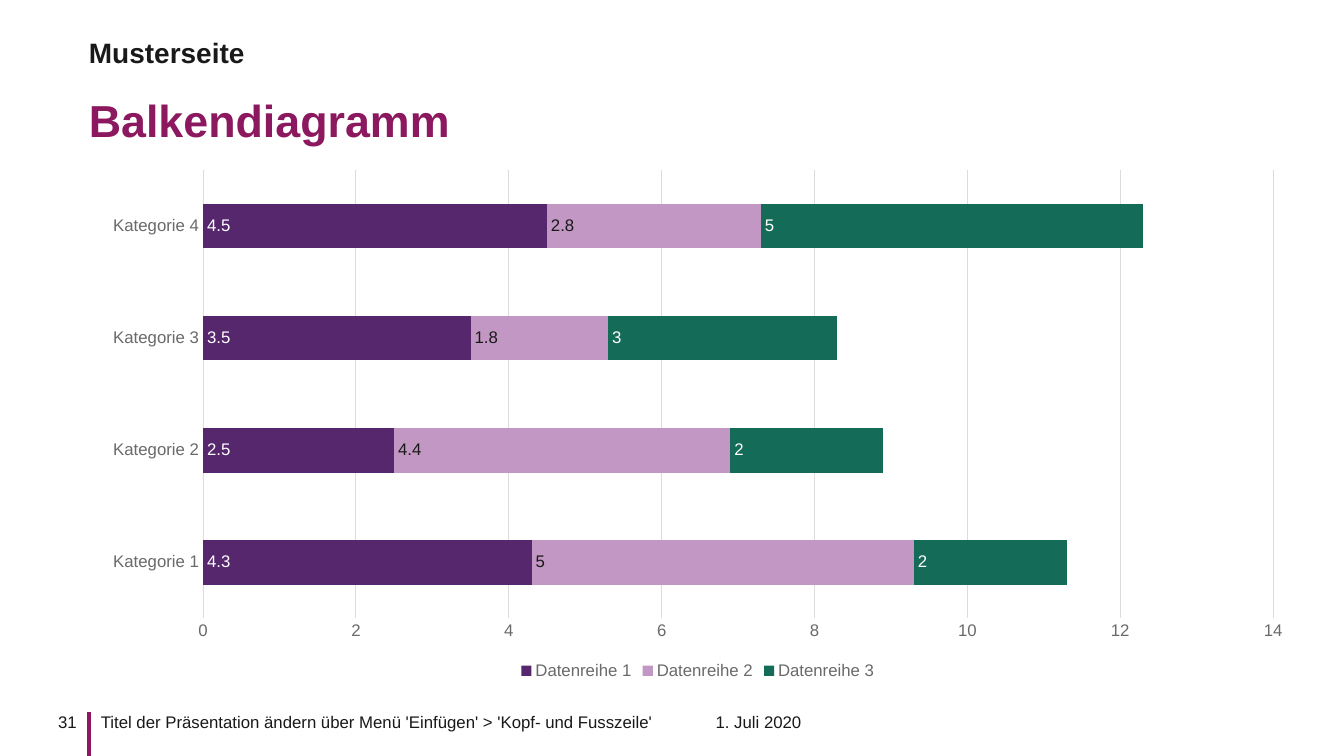
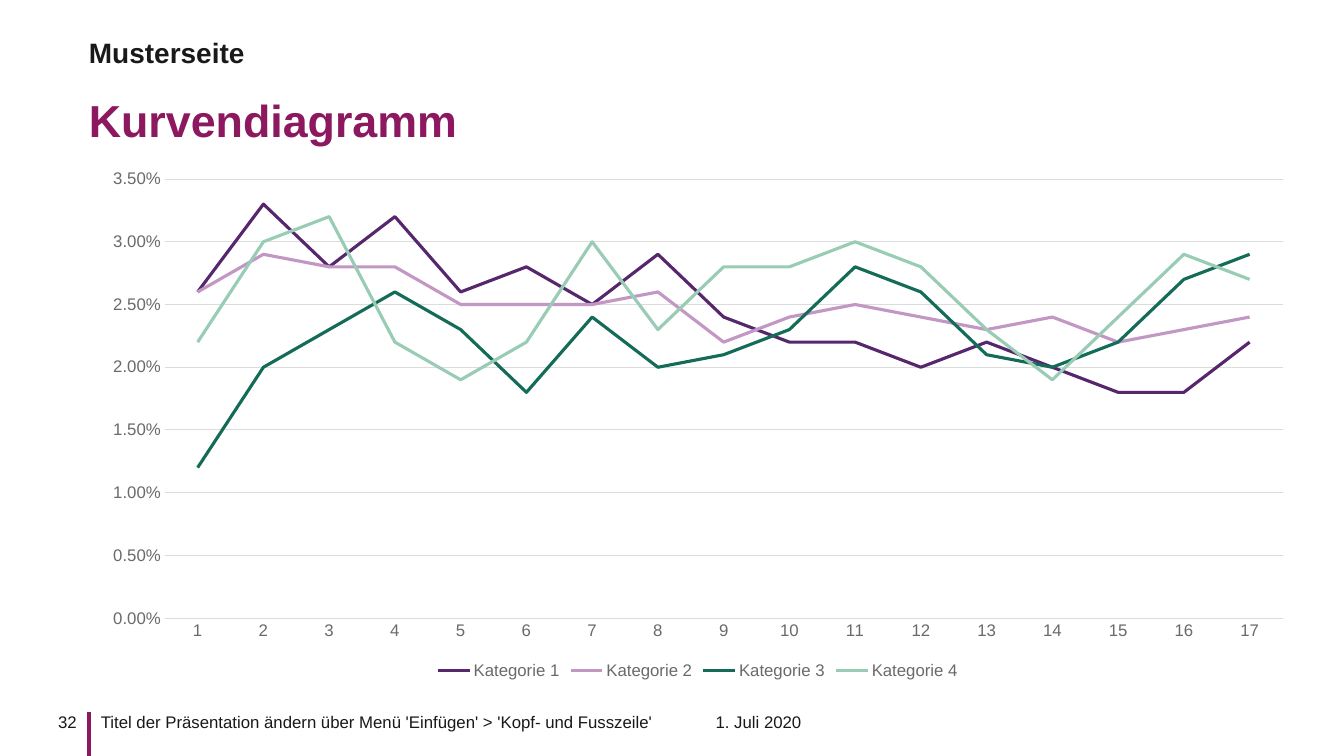
import pptx
import pptx.chart.data
import pptx.dml.color
import pptx.enum.chart
import pptx.enum.shapes
import pptx.enum.text
import pptx.oxml.ns
import pptx.util
from lxml import etree

Pt = pptx.util.Pt
RGBColor = pptx.dml.color.RGBColor
ALIGN = pptx.enum.text.PP_ALIGN
ANCHOR = pptx.enum.text.MSO_ANCHOR
CHART = pptx.enum.chart.XL_CHART_TYPE

BERRY = RGBColor(0x8C, 0x19, 0x5F)
INK = RGBColor(0x19, 0x19, 0x19)
GREY = RGBColor(0x6A, 0x6A, 0x6A)
GRID = RGBColor(0xDC, 0xDC, 0xDC)
WHITE = RGBColor(0xFF, 0xFF, 0xFF)
PURPLE = RGBColor(0x56, 0x27, 0x6D)
LILAC = RGBColor(0xC3, 0x97, 0xC4)
GREEN = RGBColor(0x14, 0x6C, 0x58)
MINT = RGBColor(0x99, 0xCC, 0xB5)
SERIES_COLORS = (PURPLE, LILAC, GREEN, MINT)
LABEL_COLORS = (WHITE, INK, WHITE)

FONT = "Arial"
SLIDE_WIDTH, SLIDE_HEIGHT = 960.5, 540
LEFT, CONTENT_WIDTH = 63.5, 870.5
FOOTER_TOP = 508.3
FOOTER_GAP = 8.6
FOOTER = "Titel der Präsentation ändern über Menü 'Einfügen' > 'Kopf- und Fusszeile'"
DATE = "1. Juli 2020"
KICKER = "Musterseite"

BAR_CATEGORIES = [f"Kategorie {n}" for n in range(1, 5)]
BAR_SERIES = {
    "Datenreihe 1": (4.3, 2.5, 3.5, 4.5),
    "Datenreihe 2": (5, 4.4, 1.8, 2.8),
    "Datenreihe 3": (2, 2, 3, 5),
}
LINE_CATEGORIES = [str(n) for n in range(1, 18)]
LINE_SERIES = {
    "Kategorie 1": (0.026, 0.033, 0.028, 0.032, 0.026, 0.028, 0.025, 0.029, 0.024,
                    0.022, 0.022, 0.02, 0.022, 0.02, 0.018, 0.018, 0.022),
    "Kategorie 2": (0.026, 0.029, 0.028, 0.028, 0.025, 0.025, 0.025, 0.026, 0.022,
                    0.024, 0.025, 0.024, 0.023, 0.024, 0.022, 0.023, 0.024),
    "Kategorie 3": (0.012, 0.02, 0.023, 0.026, 0.023, 0.018, 0.024, 0.02, 0.021,
                    0.023, 0.028, 0.026, 0.021, 0.02, 0.022, 0.027, 0.029),
    "Kategorie 4": (0.022, 0.03, 0.032, 0.022, 0.019, 0.022, 0.03, 0.023, 0.028,
                    0.028, 0.03, 0.028, 0.023, 0.019, 0.024, 0.029, 0.027),
}


def style_font(font, size, color, bold=False):
    font.name = FONT
    font.size = Pt(size)
    font.bold = bold
    font.color.rgb = color


def place(shape, left, top, width, height):
    shape.left, shape.top = Pt(left), Pt(top)
    shape.width, shape.height = Pt(width), Pt(height)


def write(shape, text, size, color, bold=False, align=ALIGN.LEFT,
          anchor=ANCHOR.TOP, inset_left=0, inset_right=0):
    """Fill a shape with one formatted run and return its paragraph."""
    frame = shape.text_frame
    frame.word_wrap = True
    frame.auto_size = pptx.enum.text.MSO_AUTO_SIZE.NONE
    frame.vertical_anchor = anchor
    frame.margin_top = frame.margin_bottom = 0
    frame.margin_left, frame.margin_right = Pt(inset_left), Pt(inset_right)
    paragraph = frame.paragraphs[0]
    paragraph.alignment = align
    run = paragraph.add_run()
    run.text = text
    style_font(run.font, size, color, bold)
    return paragraph


def remove_bullet(paragraph):
    properties = paragraph._p.get_or_add_pPr()
    properties.set("marL", "0")
    properties.set("indent", "0")
    etree.SubElement(properties, pptx.oxml.ns.qn("a:buNone"))


def add_heading(slide, title):
    place(slide.shapes.title, LEFT, 54.7, CONTENT_WIDTH, 54)
    heading = write(slide.shapes.title, title, 32, BERRY, True, anchor=ANCHOR.MIDDLE)
    heading.line_spacing = 1.2
    kicker = slide.placeholders[1]
    place(kicker, LEFT, 26, CONTENT_WIDTH, 22.3)
    line = write(kicker, KICKER, 20, INK, True, anchor=ANCHOR.MIDDLE)
    remove_bullet(line)
    line.space_before = Pt(0)


def add_footer_text(slide, text, left, width, height, **layout):
    box = slide.shapes.add_textbox(Pt(left), Pt(FOOTER_TOP), Pt(width), Pt(height))
    write(box, text, 12, INK, **layout)


def add_footer(slide, number):
    rule = slide.shapes.add_connector(
        pptx.enum.shapes.MSO_CONNECTOR.STRAIGHT,
        Pt(LEFT), Pt(FOOTER_TOP), Pt(LEFT), Pt(SLIDE_HEIGHT))
    rule.line.color.rgb = BERRY
    rule.line.width = Pt(3)
    etree.SubElement(rule._element.spPr, pptx.oxml.ns.qn("a:effectLst"))
    add_footer_text(slide, DATE, 511.4, 265.7, 14.4)
    add_footer_text(slide, FOOTER, LEFT, 422.6, 25.9, inset_left=FOOTER_GAP)
    add_footer_text(slide, str(number), 21, LEFT - 21, 14.4,
                    align=ALIGN.RIGHT, inset_right=FOOTER_GAP)


def style_grid_line(line):
    line.color.rgb = GRID
    line.width = Pt(0.75)


def style_axes(chart, maximum, step, number_format):
    for axis in (chart.category_axis, chart.value_axis):
        axis.major_tick_mark = axis.minor_tick_mark = pptx.enum.chart.XL_TICK_MARK.NONE
        style_font(axis.tick_labels.font, 12, GREY)
    style_grid_line(chart.category_axis.format.line)
    values = chart.value_axis
    values.minimum_scale, values.maximum_scale, values.major_unit = 0, maximum, step
    values.format.line.fill.background()
    values.has_major_gridlines = True
    style_grid_line(values.major_gridlines.format.line)
    values.tick_labels.number_format = number_format
    values.tick_labels.number_format_is_linked = False


def add_chart(slide, kind, categories, series, maximum, step, number_format):
    data = pptx.chart.data.CategoryChartData(number_format=number_format)
    data.categories = categories
    for name, values in series.items():
        data.add_series(name, values)
    chart = slide.shapes.add_chart(
        kind, Pt(LEFT), Pt(114), Pt(CONTENT_WIDTH), Pt(374.4), data).chart
    style_font(chart.font, 10, INK)
    chart.has_title = False
    chart.has_legend = True
    chart.legend.position = pptx.enum.chart.XL_LEGEND_POSITION.BOTTOM
    chart.legend.include_in_layout = False
    style_font(chart.legend.font, 12, GREY)
    style_axes(chart, maximum, step, number_format)
    chart.plots[0].vary_by_categories = False
    return chart


def add_bar_chart(slide):
    chart = add_chart(slide, CHART.BAR_STACKED, BAR_CATEGORIES, BAR_SERIES,
                      14, 2, "General")
    plot = chart.plots[0]
    plot.gap_width, plot.overlap = 150, 100
    for series, color, label_color in zip(plot.series, SERIES_COLORS, LABEL_COLORS):
        series.format.fill.solid()
        series.format.fill.fore_color.rgb = color
        labels = series.data_labels
        labels.show_value = True
        labels.position = pptx.enum.chart.XL_LABEL_POSITION.INSIDE_BASE
        style_font(labels.font, 12, label_color)


def add_line_chart(slide):
    chart = add_chart(slide, CHART.LINE, LINE_CATEGORIES, LINE_SERIES,
                      0.035, 0.005, "0.00%")
    for series, color in zip(chart.plots[0].series, SERIES_COLORS):
        series.smooth = False
        series.format.line.color.rgb = color
        series.format.line.width = Pt(2.25)


def main():
    deck = pptx.Presentation()
    deck.slide_width, deck.slide_height = Pt(SLIDE_WIDTH), Pt(SLIDE_HEIGHT)
    pages = (("Balkendiagramm", add_bar_chart), ("Kurvendiagramm", add_line_chart))
    for number, (title, add_content) in enumerate(pages, start=31):
        slide = deck.slides.add_slide(deck.slide_layouts[1])
        add_footer(slide, number)
        add_heading(slide, title)
        add_content(slide)
    deck.save("out.pptx")


if __name__ == "__main__":
    main()
